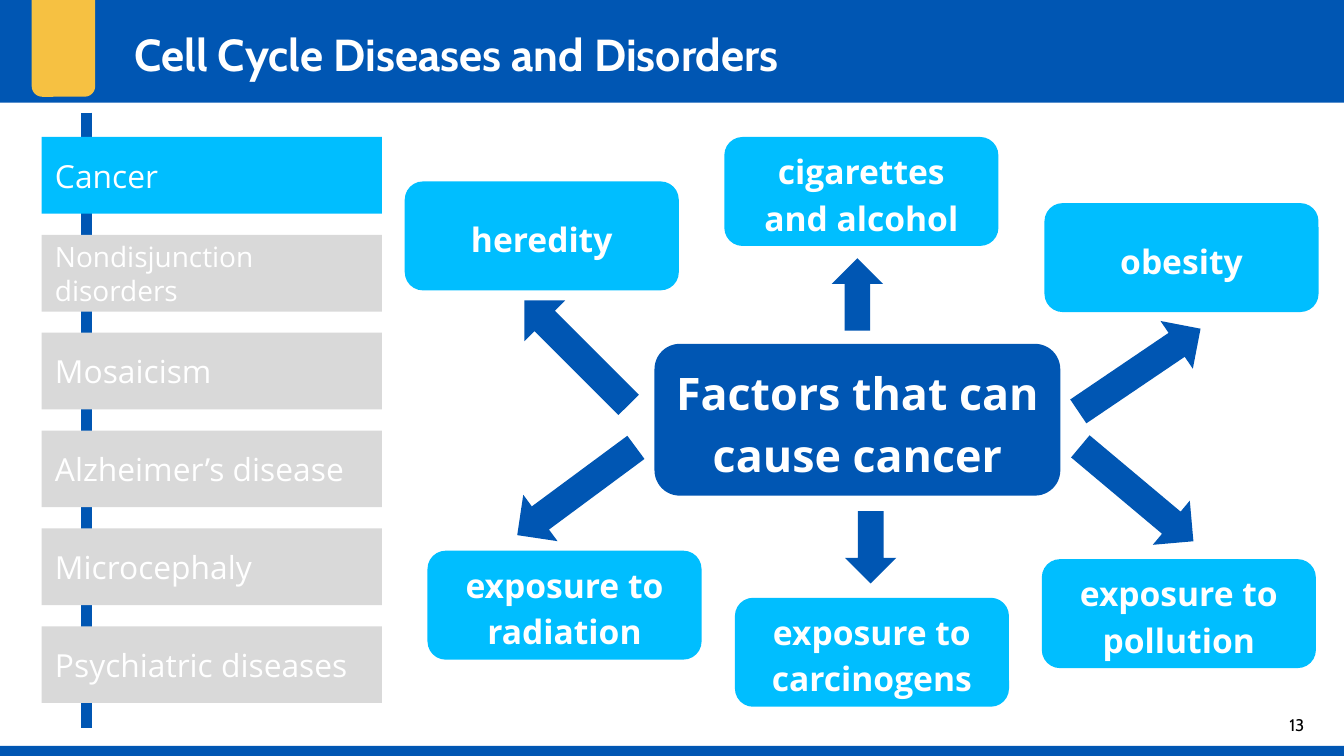
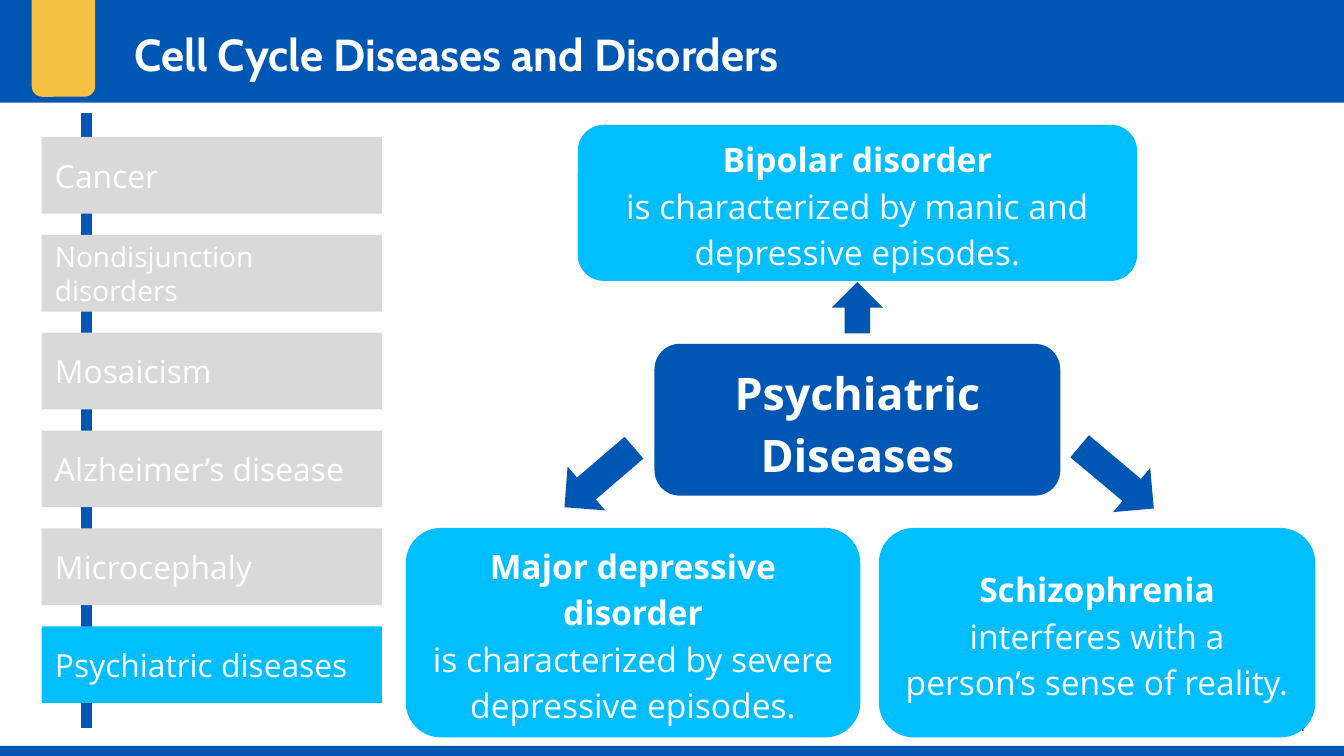
from collections import namedtuple

from lxml import etree
from pptx import Presentation
from pptx import util as u
from pptx.dml import color
from pptx.enum import shapes, text
from pptx.oxml import ns

BLUE, SKY, GOLD, GREY = "0056B3", "00BEFF", "F6C142", "D9D9D9"
WHITE, BLACK = "FFFFFF", "000000"
HEAD_FONT, BODY_FONT = "Cabin", "Open Sans"
CORNER = 0.167
RECT = shapes.MSO_SHAPE.RECTANGLE
ROUND = shapes.MSO_SHAPE.ROUNDED_RECTANGLE
ARROW = shapes.MSO_SHAPE.RIGHT_ARROW
LEFT, CENTER = text.PP_ALIGN.LEFT, text.PP_ALIGN.CENTER
TOP, MIDDLE = text.MSO_ANCHOR.TOP, text.MSO_ANCHOR.MIDDLE

Box = namedtuple("Box", "left top width height")
PAGE = Box(0, 0, 25.4, 14.29)
SIDEBAR = Box(0.79, 2.13, 6.43, 11.64)
DIAGRAM = Box(7.65, 2.36, 17.27, 11.58)
HUB = Box(4.72, 4.14, 7.67, 2.87)

TITLE = "Cell Cycle Diseases and Disorders"
TOPICS = [
    ("Cancer", 17),
    ("Nondisjunction disorders", 15),
    ("Mosaicism", 17),
    ("Alzheimer’s disease", 17),
    ("Microcephaly", 17),
    ("Psychiatric diseases", 17),
]

FACTORS = [
    ("heredity", 0, 1.07),
    ("cigarettes and alcohol", 6.04, 0.23),
    ("obesity", 12.09, 1.48),
    ("exposure to radiation", 0.43, 8.05),
    ("exposure to carcinogens", 6.24, 8.94),
    ("exposure to pollution", 12.04, 8.21),
]
FACTOR_CARDS = [
    (Box(left, top, 5.18, 2.06), [[(factor, True)]]) for factor, left, top in FACTORS
]
FACTOR_ARROWS = [
    (Box(1.85, 3.76, 2.79, 1.09), 225),
    (Box(1.85, 6.38, 2.79, 1.09), 143.5),
    (Box(12.49, 4.09, 2.79, 1.09), 325.9),
    (Box(12.44, 6.43, 2.79, 1.09), 40),
    (Box(7.87, 2.72, 1.37, 0.97), 270),
    (Box(8.12, 7.5, 1.37, 0.97), 90),
]

DISORDER_CARDS = [
    (Box(3.27, 0, 10.57, 2.95), [
        [("Bipolar disorder", True)],
        [("is characterized by manic and depressive episodes.", False)],
    ]),
    (Box(0.02, 7.62, 8.59, 3.96), [
        [("Major depressive disorder", True)],
        [("is characterized by severe depressive episodes.", False)],
    ]),
    (Box(8.96, 7.62, 8.25, 3.96), [
        [("Schizophrenia ", True),
         ("interferes with a person’s sense of reality.", False)],
    ]),
]
DISORDER_ARROWS = [
    (Box(2.81, 6.12, 1.73, 1.09), 139.4),
    (Box(12.54, 6.12, 1.83, 1.09), 40),
    (Box(8.07, 2.97, 0.97, 0.97), 270),
]


def rgb(value):
    return color.RGBColor.from_string(value)


def inside(region, part):
    return Box(region.left + part.left, region.top + part.top, part.width, part.height)


def cm(box):
    return [u.Cm(length) for length in box]


def block(slide, preset, box, fill):
    part = slide.shapes.add_shape(preset, *cm(box))
    part.shadow.inherit = False
    part.fill.solid()
    part.fill.fore_color.rgb = rgb(fill)
    part.line.fill.background()
    if preset == ROUND:
        part.adjustments[0] = CORNER
    return part


def write(holder, paragraphs, size, font=BODY_FONT, ink=WHITE, align=LEFT,
          anchor=MIDDLE, spacing=None):
    frame = holder.text_frame
    frame.word_wrap = True
    frame.vertical_anchor = anchor
    frame.margin_left = frame.margin_right = u.Cm(0.25)
    frame.margin_top = frame.margin_bottom = u.Cm(0.25)
    for index, pieces in enumerate(paragraphs):
        paragraph = frame.add_paragraph() if index else frame.paragraphs[0]
        paragraph.alignment = align
        if spacing:
            paragraph.line_spacing = spacing
        paragraph.font.name = font
        paragraph.font.size = u.Pt(size)
        paragraph.font.color.rgb = rgb(ink)
        if len(pieces) == 1:
            paragraph.font.bold = pieces[0][1]
        for words, bold in pieces:
            run = paragraph.add_run()
            run.text = words
            if len(pieces) > 1:
                run.font.bold = bold


def draw_frame(slide, box, number):
    block(slide, RECT, inside(box, Box(0, 0, box.width, 1.94)), BLUE)
    block(slide, ROUND, inside(box, Box(0.6, -0.3, 1.2, 2.13)), GOLD)
    block(slide, RECT, inside(box, Box(0, box.height - 0.19, box.width, 0.19)), BLUE)
    page_number = slide.shapes.add_textbox(*cm(inside(box, Box(23.75, 13.16, 1.52, 1.09))))
    write(page_number, [[(number, False)]], 9, HEAD_FONT, BLACK, CENTER)
    title = slide.shapes.add_textbox(*cm(inside(box, Box(2.29, 0.25, 18.34, 1.45))))
    write(title, [[(TITLE, True)]], 24, HEAD_FONT, anchor=TOP)


def draw_sidebar(slide, box, active):
    spine_x = u.Cm(box.left + 0.84)
    spine = slide.shapes.add_connector(
        shapes.MSO_CONNECTOR.STRAIGHT,
        spine_x, u.Cm(box.top), spine_x, u.Cm(box.top + box.height))
    spine.line.color.rgb = rgb(BLUE)
    spine.line.width = u.Pt(6)
    etree.SubElement(spine._element.spPr, ns.qn("a:effectLst"))
    height, gap = 1.45, 0.4
    for index, (topic, size) in enumerate(TOPICS):
        place = Box(0, 0.46 + index * (height + gap), box.width, height)
        tab = block(slide, RECT, inside(box, place), SKY if topic == active else GREY)
        write(tab, [[(topic, False)]], size)


def draw_diagram(slide, box, hub_label, cards, arrows):
    hub = block(slide, ROUND, inside(box, HUB), BLUE)
    write(hub, [[(hub_label, True)]], 24, align=CENTER, spacing=1.15)
    for place, paragraphs in cards:
        card = block(slide, ROUND, inside(box, place), SKY)
        write(card, paragraphs, 18, align=CENTER, spacing=1.15)
    for place, angle in arrows:
        block(slide, ARROW, inside(box, place), BLUE).rotation = angle


def main():
    deck = Presentation()
    deck.slide_width, deck.slide_height = u.Cm(PAGE.width), u.Cm(PAGE.height)
    for number, active, hub_label, cards, arrows in [
        ("13", "Cancer", "Factors that can cause cancer", FACTOR_CARDS, FACTOR_ARROWS),
        ("24", "Psychiatric diseases", "Psychiatric Diseases",
         DISORDER_CARDS, DISORDER_ARROWS),
    ]:
        slide = deck.slides.add_slide(deck.slide_layouts[6])
        draw_frame(slide, PAGE, number)
        draw_sidebar(slide, SIDEBAR, active)
        draw_diagram(slide, DIAGRAM, hub_label, cards, arrows)
    deck.save("out.pptx")


if __name__ == "__main__":
    main()
